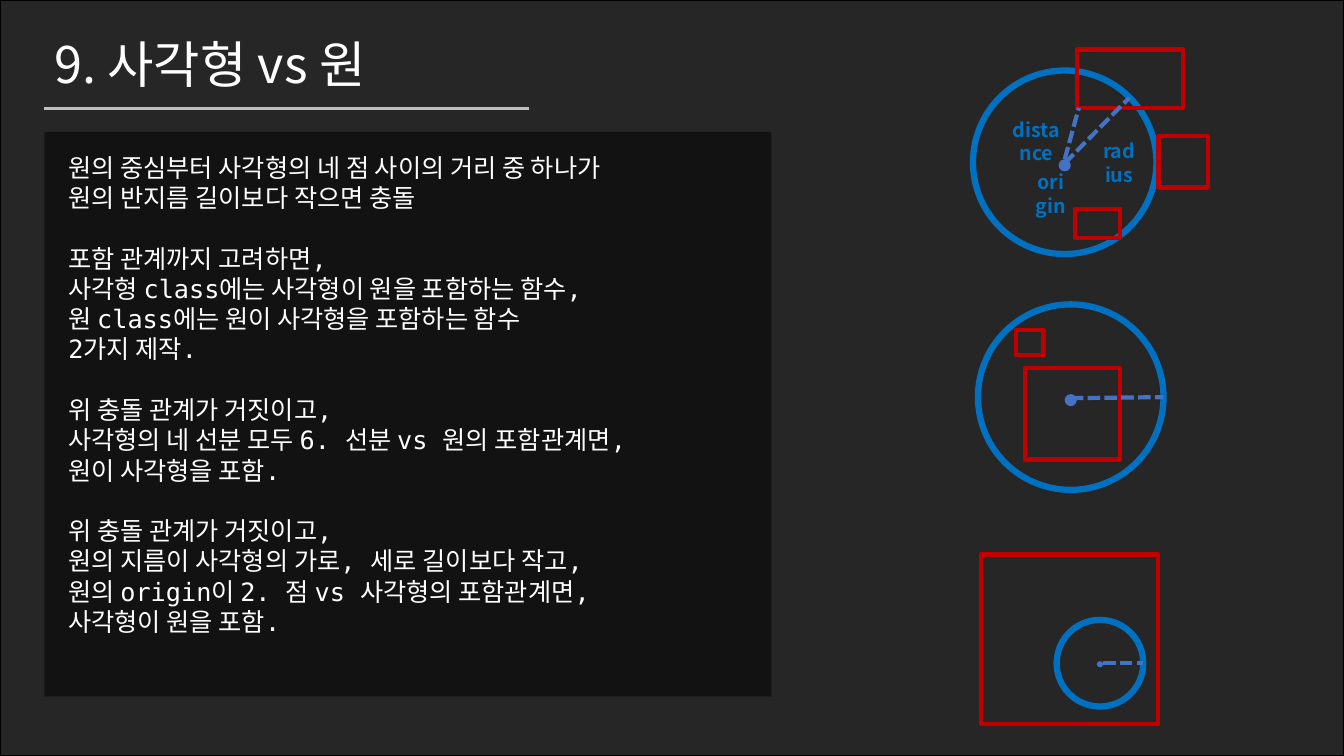
"""Build the slide on rectangle and circle collision and containment."""
from lxml import etree
from pptx import Presentation
from pptx.dml.color import RGBColor
from pptx.enum.dml import MSO_LINE
from pptx.enum.shapes import MSO_CONNECTOR, MSO_SHAPE
from pptx.enum.text import MSO_ANCHOR, PP_ALIGN
from pptx.oxml.ns import qn
from pptx.util import Inches, Pt

RECT, OVAL = MSO_SHAPE.RECTANGLE, MSO_SHAPE.OVAL
STRAIGHT, DASH = MSO_CONNECTOR.STRAIGHT, MSO_LINE.SQUARE_DOT
MIDDLE, TOP = MSO_ANCHOR.MIDDLE, MSO_ANCHOR.TOP
LEFT, CENTER = PP_ALIGN.LEFT, PP_ALIGN.CENTER

TITLE = "9. 사각형 vs 원"
SECTIONS = [
    ["원의 중심부터 사각형의 네 점 사이의 거리 중 하나가",
     "원의 반지름 길이보다 작으면 충돌"],
    ["포함 관계까지 고려하면,",
     "사각형 class에는 사각형이 원을 포함하는 함수,",
     "원 class에는 원이 사각형을 포함하는 함수",
     "2가지 제작."],
    ["위 충돌 관계가 거짓이고,",
     "사각형의 네 선분 모두 6. 선분 vs 원의 포함관계면,",
     "원이 사각형을 포함."],
    ["위 충돌 관계가 거짓이고,",
     "원의 지름이 사각형의 가로, 세로 길이보다 작고,",
     "원의 origin이 2. 점 vs 사각형의 포함관계면,",
     "사각형이 원을 포함."],
]
FIGURES = [
    {"center": (10.56, 1.61), "radius": 0.91, "dot": (10.56, 1.64, 0.06),
     "boxes": [(10.68, 0.49, 1.05, 0.58), (11.49, 1.35, 0.49, 0.51),
               (10.66, 2.07, 0.45, 0.29)],
     "rays": [(10.56, 1.62, 11.2, 0.97), (10.56, 1.58, 10.7, 1.07)],
     "labels": [("radius", 10.83, 1.33, 0.54), ("origin", 10.16, 1.64, 0.52),
                ("distance", 9.94, 1.12, 0.68)]},
    {"center": (10.62, 3.94), "radius": 0.92, "dot": (10.62, 3.97, 0.06),
     "boxes": [(10.17, 3.65, 0.94, 0.91), (10.08, 3.27, 0.27, 0.25)],
     "rays": [(10.62, 3.95, 11.54, 3.94)], "labels": []},
    {"center": (10.91, 6.58), "radius": 0.43, "dot": (10.91, 6.59, 0.03),
     "boxes": [(9.73, 5.5, 1.76, 1.68)],
     "rays": [(10.94, 6.58, 11.34, 6.58)], "labels": []},
]
THEME = {
    "black": "000000", "rule": "BFBFBF", "circle": "0070C0",
    "box": "C00000", "ray": "4472C4", "hangul": "Noto Sans CJK KR",
    "title": {"name": "Noto Sans CJK KR", "size": Pt(36), "color": "FFFFFF"},
    "body": {"name": "DejaVu Sans Mono", "size": Pt(18), "color": "FFFFFF"},
    "label": {"name": "Noto Sans CJK KR", "size": Pt(14), "bold": True,
              "color": "0070C0"},
    "section_gap": Pt(21.7),
}


def rgb(value):
    return RGBColor.from_string(value)


def add_outline(shapes, kind, place, fill=None, alpha=None, line=None, weight=1):
    shape = shapes.add_shape(kind, *map(Inches, place))
    shape.shadow.inherit = False
    if fill:
        shape.fill.solid()
        shape.fill.fore_color.rgb = rgb(fill)
    else:
        shape.fill.background()
    if alpha:
        color = shape.fill._xPr.find(qn("a:solidFill"))[0]
        etree.SubElement(color, qn("a:alpha"), val=str(alpha * 1000))
    if line:
        shape.line.color.rgb = rgb(line)
        shape.line.width = Pt(weight)
    else:
        shape.line.fill.background()


def add_line(shapes, ends, color, weight, dash=None):
    line = shapes.add_connector(STRAIGHT, *map(Inches, ends))
    line.line.color.rgb = rgb(color)
    line.line.width = Pt(weight)
    if dash:
        line.line.dash_style = dash
    etree.SubElement(line._element.spPr, qn("a:effectLst"))


def add_text(shapes, place, sections, style, anchor=TOP, align=LEFT, spacing=None):
    frame = shapes.add_textbox(*map(Inches, place)).text_frame
    frame.word_wrap = True
    frame.vertical_anchor = anchor
    lines = [(text, number > 0 and index == 0)
             for number, section in enumerate(sections)
             for index, text in enumerate(section)]
    for position, (text, opens_section) in enumerate(lines):
        para = frame.add_paragraph() if position else frame.paragraphs[0]
        para.alignment = align
        if spacing:
            para.line_spacing = spacing
        if opens_section:
            para.space_before = THEME["section_gap"]
        span = para.add_run()
        span.text = text
        for name, value in style.items():
            if name == "color":
                span.font.color.rgb = rgb(value)
            else:
                setattr(span.font, name, value)
        etree.SubElement(span.font._element, qn("a:ea"), typeface=THEME["hangul"])


def add_figure(page, figure):
    shapes = page.shapes.add_group_shape().shapes
    discs = [((*figure["center"], figure["radius"]),
              {"line": THEME["circle"], "weight": 4.5}),
             (figure["dot"], {"fill": THEME["ray"]})]
    for (x, y, radius), look in discs:
        place = (x - radius, y - radius, 2 * radius, 2 * radius)
        add_outline(shapes, OVAL, place, **look)
    for text, left, top, width in figure["labels"]:
        add_text(shapes, (left, top, width, 0.57), [[text]], THEME["label"],
                 align=CENTER)
    for box in figure["boxes"]:
        add_outline(shapes, RECT, box, line=THEME["box"], weight=3)
    for ray in figure["rays"]:
        add_line(shapes, ray, THEME["ray"], 3, DASH)


def main():
    deck = Presentation()
    deck.slide_width, deck.slide_height = Inches(13.33), Inches(7.5)
    page = deck.slides.add_slide(deck.slide_layouts[6])
    shapes = page.shapes
    black = THEME["black"]
    add_outline(shapes, RECT, (0, 0, 13.33, 7.5), black, 85, line=black)
    add_outline(shapes, RECT, (0.44, 1.31, 7.21, 5.6), black, 50)
    add_line(shapes, (0.44, 1.08, 5.25, 1.08), THEME["rule"], 2.25)
    add_text(shapes, (0.44, 0.24, 5.3, 0.85), [[TITLE]], THEME["title"],
             anchor=MIDDLE, spacing=0.9)
    add_text(shapes, (0.58, 1.46, 6.17, 4.95), SECTIONS, THEME["body"])
    for figure in FIGURES:
        add_figure(page, figure)
    deck.save("out.pptx")


if __name__ == "__main__":
    main()
